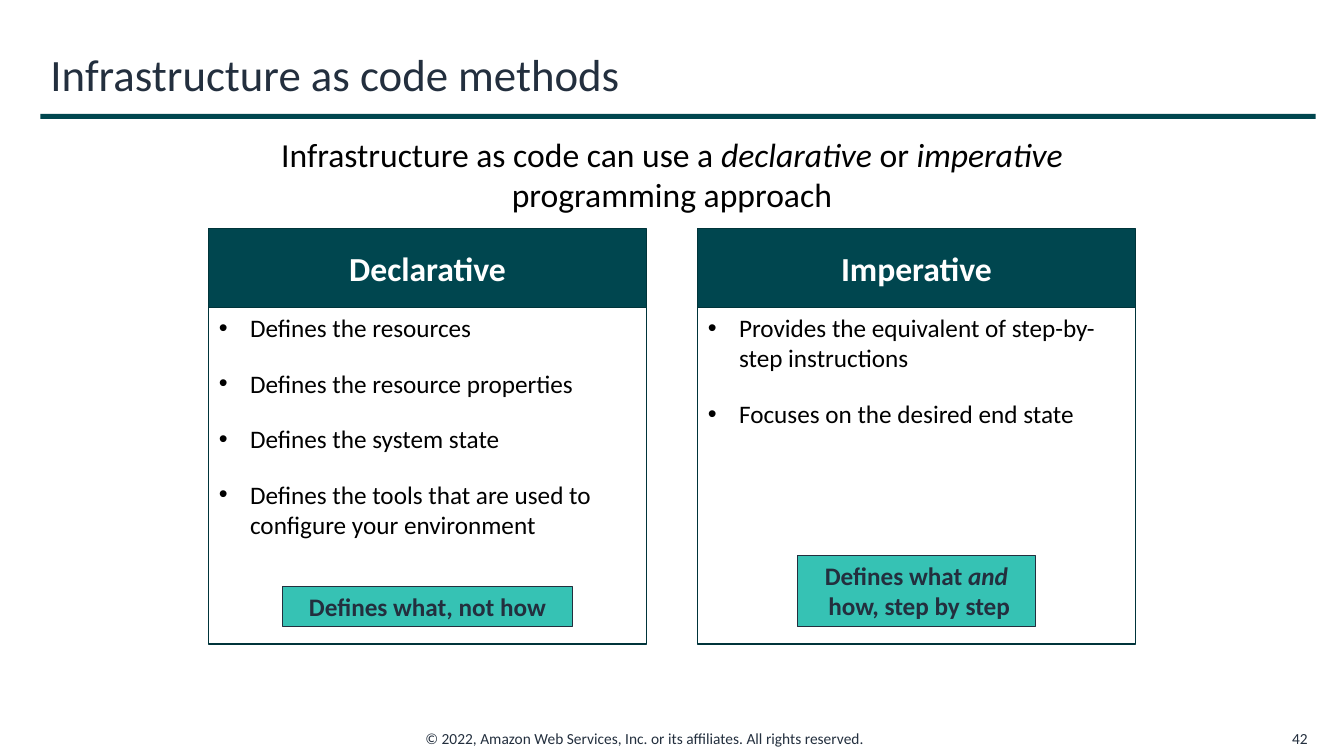
from dataclasses import dataclass

from lxml.etree import SubElement
from pptx import Presentation
from pptx.dml.color import RGBColor
from pptx.enum.shapes import MSO_SHAPE
from pptx.enum.text import MSO_ANCHOR, MSO_AUTO_SIZE, PP_ALIGN
from pptx.oxml.ns import qn
from pptx.util import Inches, Pt

# Content: a line of text is a list of (text, italic) runs
TITLE = "Infrastructure as code methods"
INTRO = [
    ("Infrastructure as code can use a ", False),
    ("declarative", True),
    (" or ", False),
    ("imperative", True),
    (" programming approach", False),
]
METHODS = [
    {
        "name": "Declarative",
        "points": [
            "Defines the resources",
            "Defines the resource properties",
            "Defines the system state",
            "Defines the tools that are used to configure your environment",
        ],
        "points_height": 2.37,
        "summary": [[("Defines what, not how", False)]],
        "summary_size": (2.87, 0.4),
    },
    {
        "name": "Imperative",
        "points": [
            "Provides the equivalent of step-by-step instructions",
            "Focuses on the desired end state",
        ],
        "points_height": 1.26,
        "summary": [
            [("Defines what ", False), ("and", True)],
            [(" how, step by step", False)],
        ],
        "summary_size": (2.36, 0.71),
    },
]
COPYRIGHT = "© 2022, Amazon Web Services, Inc. or its affiliates. All rights reserved."
PAGE_NUMBER = "42"


@dataclass(frozen=True)
class Theme:
    font: str = "Calibri"
    ink: RGBColor = RGBColor(0x23, 0x2F, 0x3E)
    black: RGBColor = RGBColor(0, 0, 0)
    white: RGBColor = RGBColor(255, 255, 255)
    teal: RGBColor = RGBColor(0x00, 0x46, 0x4F)
    border: RGBColor = RGBColor(0x00, 0x34, 0x3A)
    mint: RGBColor = RGBColor(0x36, 0xC2, 0xB4)
    title_size: int = 32
    heading_size: int = 24
    body_size: int = 18
    footer_size: int = 11


THEME = Theme()

# Layout, in inches
MARGIN, CONTENT_WIDTH = 0.4, 12.65
PANEL_LEFT, PANEL_WIDTH, PANEL_STEP = 2.07, 4.34, 4.85
HEADER_TOP, HEADER_HEIGHT = 2.27, 0.78
BODY_TOP, BODY_HEIGHT = HEADER_TOP + HEADER_HEIGHT, 3.34
SUMMARY_BOTTOM = 6.22
FOOTER_TOP, FOOTER_HEIGHT = 7.18, 0.29


def place(shape, left, top, width, height):
    shape.left, shape.top = Inches(left), Inches(top)
    shape.width, shape.height = Inches(width), Inches(height)


def write(shape, lines, size, color, align=PP_ALIGN.LEFT, anchor=MSO_ANCHOR.TOP,
          bold=False, wrap=True, space_after=0, bullet=False):
    frame = shape.text_frame
    frame.word_wrap = wrap
    frame.auto_size = MSO_AUTO_SIZE.NONE
    frame.vertical_anchor = anchor
    for index, line in enumerate(lines):
        paragraph = frame.paragraphs[0] if index == 0 else frame.add_paragraph()
        if bullet:
            add_bullet(paragraph)
        paragraph.alignment = align
        paragraph.space_before = Pt(0)
        paragraph.space_after = Pt(space_after)
        for text, italic in line:
            run = paragraph.add_run()
            run.text = text
            run.font.name = THEME.font
            run.font.size = Pt(size)
            run.font.bold = bold
            run.font.italic = italic
            run.font.color.rgb = color


def add_bullet(paragraph):
    properties = paragraph._p.get_or_add_pPr()
    properties.set("marL", str(Inches(0.31)))
    properties.set("indent", str(Inches(-0.31)))
    SubElement(properties, qn("a:buFont")).set("typeface", "Arial")
    SubElement(properties, qn("a:buChar")).set("char", "•")


def add_rectangle(slide, box, fill=None, line=None, line_width=0.85):
    shape = slide.shapes.add_shape(MSO_SHAPE.RECTANGLE, *map(Inches, box))
    shape.shadow.inherit = False
    if fill is None:
        shape.fill.background()
    else:
        shape.fill.solid()
        shape.fill.fore_color.rgb = fill
    if line is None:
        shape.line.fill.background()
    else:
        shape.line.color.rgb = line
        shape.line.width = Pt(line_width)
    return shape


def add_text(slide, box, line, size, color, **options):
    shape = slide.shapes.add_textbox(*map(Inches, box))
    write(shape, [line], size, color, **options)


def add_method(slide, placeholder, method, left):
    # Header and frame
    header = add_rectangle(slide, (left, HEADER_TOP, PANEL_WIDTH, HEADER_HEIGHT),
                           THEME.teal, THEME.border)
    write(header, [[(method["name"], False)]], THEME.heading_size, THEME.white,
          align=PP_ALIGN.CENTER, anchor=MSO_ANCHOR.MIDDLE, bold=True)
    add_rectangle(slide, (left, BODY_TOP, PANEL_WIDTH, BODY_HEIGHT), line=THEME.border)

    # Bulleted points
    place(placeholder, left, BODY_TOP, PANEL_WIDTH, method["points_height"])
    write(placeholder, [[(point, False)] for point in method["points"]],
          THEME.body_size, THEME.black, space_after=18, bullet=True)

    # Summary, centred near the bottom of the frame
    width, height = method["summary_size"]
    summary = add_rectangle(
        slide,
        (left + (PANEL_WIDTH - width) / 2, SUMMARY_BOTTOM - height, width, height),
        THEME.mint, THEME.ink, 0.75)
    write(summary, method["summary"], THEME.body_size, THEME.ink,
          align=PP_ALIGN.CENTER, bold=True, wrap=False)


def main():
    presentation = Presentation()
    presentation.slide_width = Inches(13.33)
    presentation.slide_height = Inches(7.5)
    slide = presentation.slides.add_slide(presentation.slide_layouts.get_by_name("Two Content"))
    title, *point_lists = slide.placeholders

    # Title and rule
    place(title, MARGIN, 0.33, CONTENT_WIDTH, 0.8)
    write(title, [[(TITLE, False)]], THEME.title_size, THEME.ink, anchor=MSO_ANCHOR.MIDDLE)
    add_rectangle(slide, (MARGIN, 1.13, CONTENT_WIDTH, 0.05), THEME.teal)

    # Introduction
    add_text(slide, (2.38, 1.28, 8.57, 0.91), INTRO, THEME.heading_size, THEME.black,
             align=PP_ALIGN.CENTER)

    # Two method panels
    for index, (placeholder, method) in enumerate(zip(point_lists, METHODS)):
        add_method(slide, placeholder, method, PANEL_LEFT + index * PANEL_STEP)

    # Footer
    add_text(slide, (4.12, FOOTER_TOP, 5.09, FOOTER_HEIGHT), [(COPYRIGHT, False)],
             THEME.footer_size, THEME.ink, wrap=False)
    add_text(slide, (12.54, FOOTER_TOP, 0.53, FOOTER_HEIGHT), [(PAGE_NUMBER, False)],
             THEME.footer_size, THEME.ink, align=PP_ALIGN.RIGHT, anchor=MSO_ANCHOR.MIDDLE)

    presentation.save("out.pptx")


if __name__ == "__main__":
    main()
